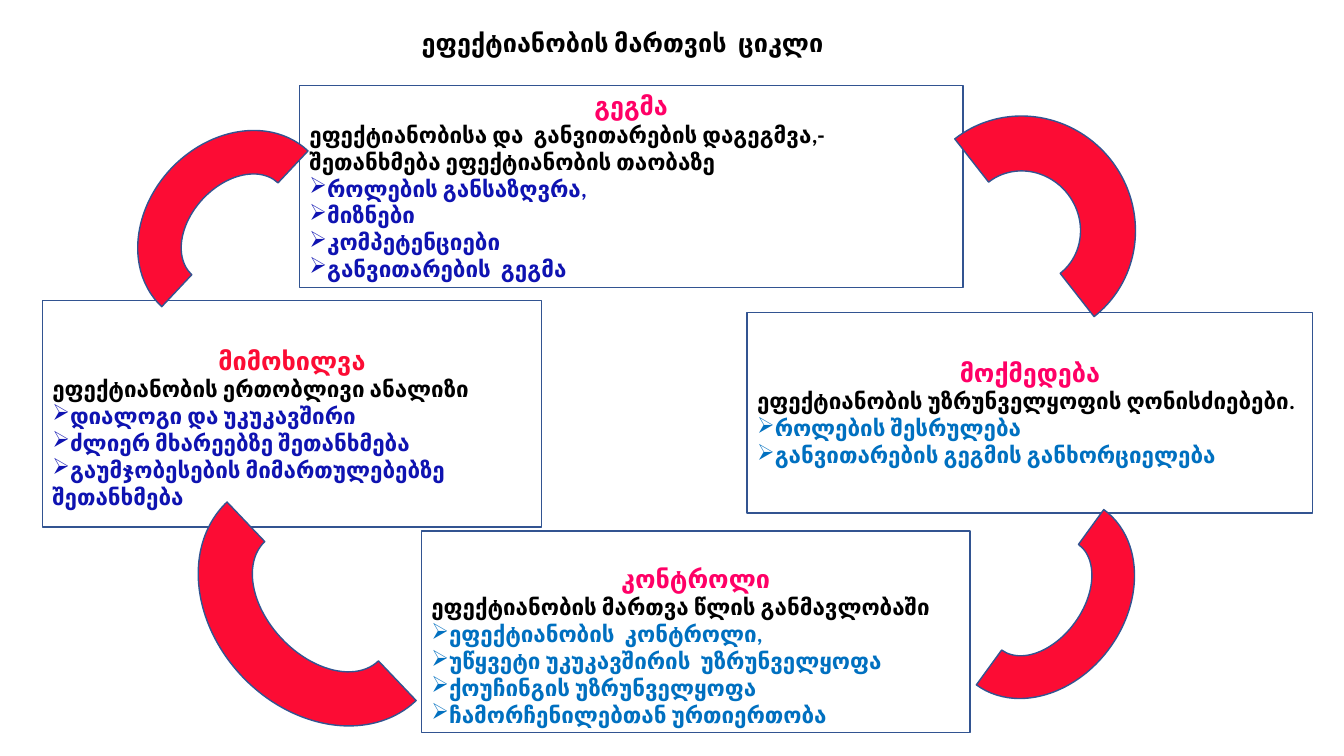
"""Build the performance management cycle slide."""
from dataclasses import dataclass

import pptx
import pptx.dml.color
import pptx.enum.shapes
import pptx.enum.text
import pptx.oxml
import pptx.oxml.ns
import pptx.util

Inches = pptx.util.Inches
Pt = pptx.util.Pt
SHAPE = pptx.enum.shapes.MSO_SHAPE
CENTER = pptx.enum.text.PP_ALIGN.CENTER
LEFT = pptx.enum.text.PP_ALIGN.LEFT

BLACK, WHITE, OUTLINE = "000000", "FFFFFF", "325491"
PINK, RED, NAVY, BLUE = "FF0066", "FC0C34", "0F13B1", "0070C0"

Box = tuple[float, float, float, float]


@dataclass
class Stage:
    box: Box
    heading: str
    summary: str
    points: list[str]
    point_color: str
    heading_color: str = PINK
    top_inset: float = 0.05


@dataclass
class Arc:
    box: Box
    rotation: float


TITLE = "ეფექტიანობის მართვის  ციკლი"
STAGES = [
    Stage((2.97, 0.85, 6.58, 2), "გეგმა",
          "ეფექტიანობისა და  განვითარების დაგეგმვა,-შეთანხმება ეფექტიანობის თაობაზე",
          ["როლების განსაზღვრა,", "მიზნები", "კომპეტენციები", "განვითარების  გეგმა"],
          NAVY),
    Stage((7.41, 3.1, 5.61, 1.99), "მოქმედება",
          "ეფექტიანობის უზრუნველყოფის ღონისძიებები.",
          ["როლების შესრულება", "განვითარების გეგმის განხორციელება"],
          BLUE),
    Stage((4.18, 5.27, 5.44, 2), "კონტროლი",
          "ეფექტიანობის მართვა წლის განმავლობაში",
          ["ეფექტიანობის  კონტროლი,", "უწყვეტი უკუკავშირის  უზრუნველყოფა",
           "ქოუჩინგის უზრუნველყოფა", "ჩამორჩენილებთან ურთიერთობა"],
          BLUE, top_inset=0.32),
    Stage((0.42, 2.98, 4.95, 2.25), "მიმოხილვა",
          "ეფექტიანობის ერთობლივი ანალიზი",
          ["დიალოგი და უკუკავშირი", "ძლიერ მხარეებზე შეთანხმება",
           "გაუმჯობესების მიმართულებებზე შეთანხმება"],
          NAVY, heading_color=RED, top_inset=0.32),
]
ARCS = [
    Arc((9.04, 1.17, 2.24, 2.18), 51.9),
    Arc((9.24, 5.07, 2.15, 1.71), 126),
    Arc((1.83, 4.88, 2.72, 2.17), 226.4),
    Arc((1.27, 1.4, 2.12, 1.74), 313.2),
]


def rgb(value: str) -> pptx.dml.color.RGBColor:
    """Turn a hex string into a colour."""
    return pptx.dml.color.RGBColor.from_string(value)


def apply(target: object, formats: dict) -> None:
    """Set every format value on the target."""
    for name, value in formats.items():
        setattr(target, name, value)


def write(p, text: str, size: int, color: str, align=LEFT, bullet: bool = False) -> None:
    """Write one bold paragraph, with an arrow bullet if asked."""
    p.alignment = align
    r = p.add_run()
    r.text = text
    apply(r.font, {"name": "Calibri", "size": Pt(size), "bold": True})
    r.font.color.rgb = rgb(color)
    if bullet:
        pPr = p._p.get_or_add_pPr()
        bu = pptx.oxml.parse_xml(
            f'<a:buChar {pptx.oxml.ns.nsdecls("a")} char="➢"/>')
        pPr.append(bu)


def add_outlined(s, kind, box: Box, fill: str):
    """Add a filled shape with the common thin outline."""
    sp = s.shapes.add_shape(kind, *map(Inches, box))
    sp.shadow.inherit = False
    sp.fill.solid()
    sp.fill.fore_color.rgb = rgb(fill)
    sp.line.color.rgb = rgb(OUTLINE)
    sp.line.width = Pt(1)
    return sp


def add_title(s) -> None:
    """Add the slide heading."""
    tf = s.shapes.add_textbox(*map(Inches, (2.93, 0.22, 6.49, 0.4))).text_frame
    apply(tf, {"word_wrap": True,
               "auto_size": pptx.enum.text.MSO_AUTO_SIZE.SHAPE_TO_FIT_TEXT})
    write(tf.paragraphs[0], TITLE, 18, BLACK, CENTER)


def add_stage(s, stage: Stage) -> None:
    """Add a box for one stage of the cycle."""
    tf = add_outlined(s, SHAPE.RECTANGLE, stage.box, WHITE).text_frame
    apply(tf, {"word_wrap": True, "margin_top": Inches(stage.top_inset),
               "vertical_anchor": pptx.enum.text.MSO_ANCHOR.MIDDLE})
    write(tf.paragraphs[0], stage.heading, 18, stage.heading_color, CENTER)
    write(tf.add_paragraph(), stage.summary, 16, BLACK)
    for point in stage.points:
        write(tf.add_paragraph(), point, 16, stage.point_color, bullet=True)


def add_arc(s, arc: Arc) -> None:
    """Add an arc that joins two stages."""
    add_outlined(s, SHAPE.BLOCK_ARC, arc.box, RED).rotation = arc.rotation


def main() -> None:
    """Build and save the slide."""
    prs = pptx.Presentation()
    apply(prs, {"slide_width": Inches(13.33), "slide_height": Inches(7.5)})
    s = prs.slides.add_slide(prs.slide_layouts[6])
    add_title(s)
    for stage in STAGES:
        add_stage(s, stage)
    for arc in ARCS:
        add_arc(s, arc)
    prs.save("out.pptx")


if __name__ == "__main__":
    main()
